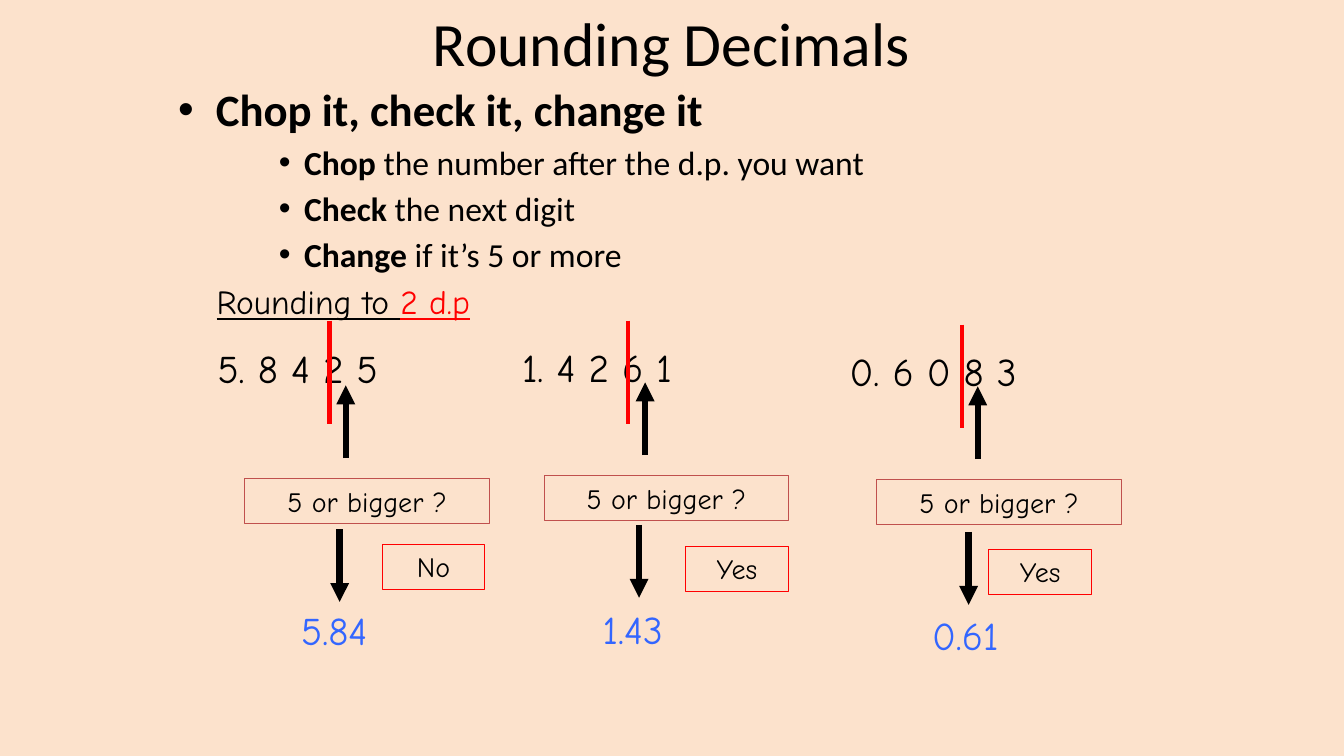
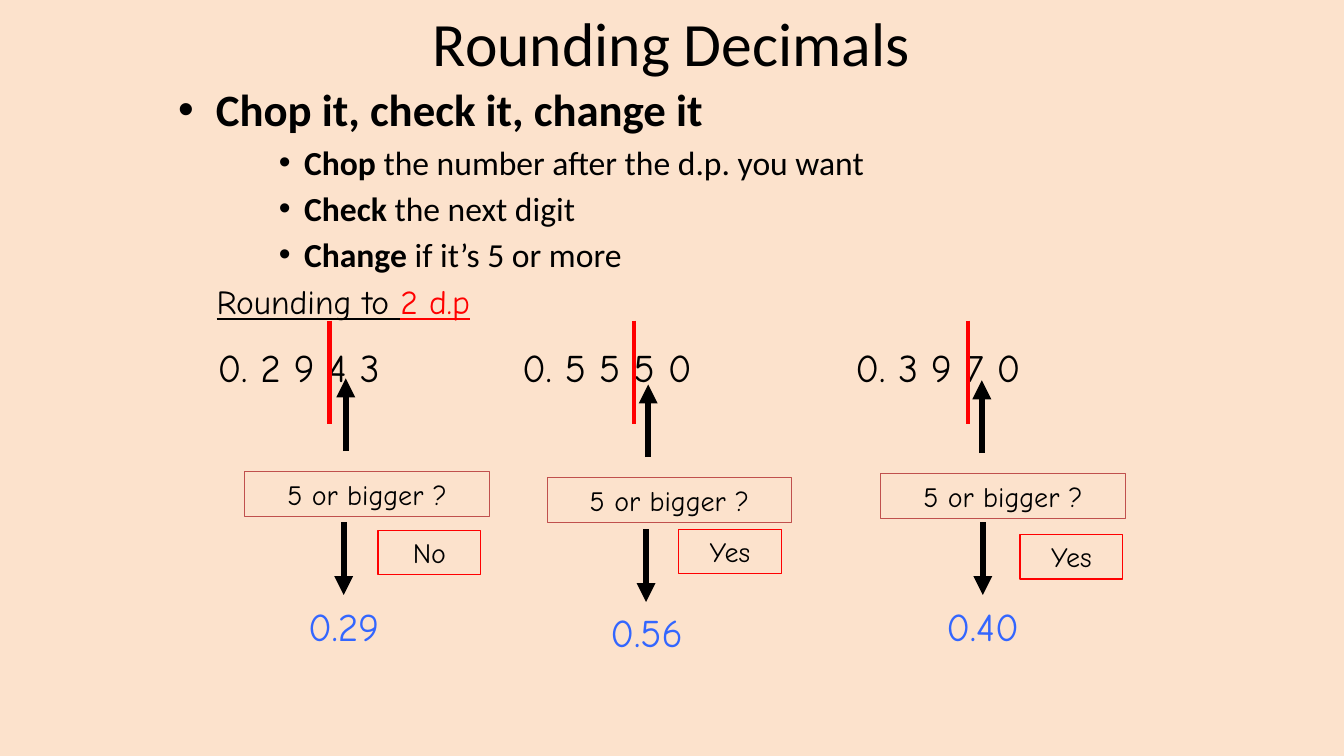
import dataclasses

import lxml.etree
import pptx
import pptx.dml.color
import pptx.enum.shapes
import pptx.enum.text
import pptx.oxml.ns
import pptx.util

Pt = pptx.util.Pt
RGBColor = pptx.dml.color.RGBColor
CENTER = pptx.enum.text.PP_ALIGN.CENTER
MIDDLE = pptx.enum.text.MSO_ANCHOR.MIDDLE

# Colours and fonts
PEACH = RGBColor(0xFC, 0xE2, 0xCC)
BLACK = RGBColor(0, 0, 0)
RED = RGBColor(0xFF, 0, 0)
BRICK = RGBColor(0xC0, 0x50, 0x4D)
BLUE = RGBColor(0x33, 0x66, 0xFF)
MAIN_FONT = "Calibri"
WORK_FONT = "Comic Neue"


@dataclasses.dataclass
class Example:
    """One rounding example; every place is (left, top) in points."""
    digits: str
    verdict: str
    answer: str
    digits_at: tuple
    cut_at: tuple
    question_at: tuple
    down_at: tuple
    verdict_at: tuple
    answer_at: tuple


class Deck:
    ARROW_LENGTH = 52
    CUT_LENGTH = 74
    BOX_HEIGHT = 32

    def __init__(self):
        self.presentation = pptx.Presentation()
        self.presentation.slide_width = Pt(960)
        self.presentation.slide_height = Pt(540)
        fill = self.presentation.slide_master.background.fill
        fill.solid()
        fill.fore_color.rgb = PEACH
        self.slide = None

    def new_slide(self):
        layout = self.presentation.slide_layouts[1]
        self.slide = self.presentation.slides.add_slide(layout)

    def place(self, shape, left, top, width, height):
        shape.left, shape.top = Pt(left), Pt(top)
        shape.width, shape.height = Pt(width), Pt(height)

    def run(self, paragraph, text, size, color=BLACK, font=WORK_FONT,
            bold=False, underline=False):
        run = paragraph.add_run()
        run.text = text
        run.font.size = Pt(size)
        run.font.name = font
        run.font.color.rgb = color
        run.font.bold = bold
        run.font.underline = underline

    def title(self, text):
        shape = self.slide.shapes.title
        self.place(shape, 119, 0, 721.5, 60.5)
        shape.text_frame.vertical_anchor = MIDDLE
        paragraph = shape.text_frame.paragraphs[0]
        paragraph.alignment = CENTER
        self.run(paragraph, text, 44, font=MAIN_FONT)

    def body(self, heading, steps):
        shape = self.slide.placeholders[1]
        self.place(shape, 120, 54.7, 720, 149)
        frame = shape.text_frame
        frame.auto_size = pptx.enum.text.MSO_AUTO_SIZE.NONE
        paragraph = frame.paragraphs[0]
        paragraph.space_before = Pt(0)
        self.run(paragraph, heading, 32, font=MAIN_FONT, bold=True)
        for keyword, rest in steps:
            paragraph = frame.add_paragraph()
            paragraph.level = 2
            paragraph.space_before = Pt(4.3)
            self.run(paragraph, keyword, 24, font=MAIN_FONT, bold=True)
            self.run(paragraph, rest, 24, font=MAIN_FONT)

    def text(self, left, top, width, height, parts, size, underline=False):
        shape = self.slide.shapes.add_textbox(
            Pt(left), Pt(top), Pt(width), Pt(height))
        shape.text_frame.word_wrap = True
        for text, color in parts:
            self.run(shape.text_frame.paragraphs[0], text, size, color,
                     underline=underline)

    def box(self, left, top, width, text, line_color):
        shape = self.slide.shapes.add_shape(
            pptx.enum.shapes.MSO_SHAPE.RECTANGLE,
            Pt(left), Pt(top), Pt(width), Pt(self.BOX_HEIGHT))
        shape.shadow.inherit = False
        shape.fill.background()
        shape.line.color.rgb = line_color
        shape.line.width = Pt(0.75)
        frame = shape.text_frame
        frame.word_wrap = True
        frame.vertical_anchor = MIDDLE
        frame.paragraphs[0].alignment = CENTER
        self.run(frame.paragraphs[0], text, 20)

    def vertical_line(self, x, start, end, color, width, arrow=False):
        connector = self.slide.shapes.add_connector(
            pptx.enum.shapes.MSO_CONNECTOR.STRAIGHT,
            Pt(x), Pt(start), Pt(x), Pt(end))
        connector.line.color.rgb = color
        connector.line.width = Pt(width)
        properties = connector._element.spPr
        if arrow:
            line = properties.find(pptx.oxml.ns.qn("a:ln"))
            lxml.etree.SubElement(
                line, pptx.oxml.ns.qn("a:tailEnd"), type="triangle")
        lxml.etree.SubElement(properties, pptx.oxml.ns.qn("a:effectLst"))

    def arrow(self, x, start, end):
        self.vertical_line(x, start, end, BLACK, 4.5, arrow=True)

    def example(self, example):
        # Number with the cut after the second decimal place
        self.text(*example.digits_at, 180, 41, [(example.digits, BLACK)], 28)
        x, top = example.cut_at
        self.vertical_line(x, top, top + self.CUT_LENGTH, RED, 3)
        # Question pointing up at the next digit
        left, top = example.question_at
        self.box(left, top, 174.5, "5 or bigger ?", BRICK)
        start = top - 14.7
        self.arrow(left + 72, start, start - self.ARROW_LENGTH)
        # Verdict and rounded answer
        x, top = example.down_at
        self.arrow(x, top, top + self.ARROW_LENGTH)
        self.box(*example.verdict_at, 73.5, example.verdict, RED)
        self.text(*example.answer_at, 94, 41, [(example.answer, BLUE)], 28)


STEPS = [
    ("Chop", " the number after the d.p. you want"),
    ("Check", " the next digit"),
    ("Change", " if it’s 5 or more"),
]

SLIDES = [
    [
        Example("5. 8 4 2 5", "No", "5.84", (148.3, 242.6), (235.4, 229),
                (175, 342), (242.6, 378), (272.9, 388.8), (208, 429.8)),
        Example("1. 4 2 6 1", "Yes", "1.43", (365.8, 242), (448.6, 229),
                (388.8, 339.8), (456.5, 375), (489.6, 390.2), (423.4, 429)),
        Example("0. 6 0 8 3", "Yes", "0.61", (599.8, 244.8), (686.9, 231.8),
                (626.4, 342.7), (691.9, 380), (706.3, 392.4), (658.8, 433.4)),
    ],
    [
        Example("0. 2 9 4 3", "No", "0.29", (148.3, 242), (235.4, 229),
                (175, 337), (245.5, 373), (270, 378.7), (213, 427)),
        Example("0. 5 5 5 0", "Yes", "0.56", (365.8, 242), (452.9, 229),
                (391, 341.3), (461.5, 378), (484.6, 378), (429, 431.3)),
        Example("0. 3 9 7 0", "Yes", "0.40", (604, 242), (691.2, 229),
                (629.3, 338.4), (702, 373), (728.6, 381.6), (668.9, 427)),
    ],
]


def main():
    deck = Deck()
    for examples in SLIDES:
        deck.new_slide()
        deck.title("Rounding Decimals")
        deck.body("Chop it, check it, change it", STEPS)
        deck.text(147.6, 197.3, 210, 36,
                  [("Rounding to ", BLACK), ("2 d.p", RED)], 24,
                  underline=True)
        for example in examples:
            deck.example(example)
    deck.presentation.save("out.pptx")


if __name__ == "__main__":
    main()
